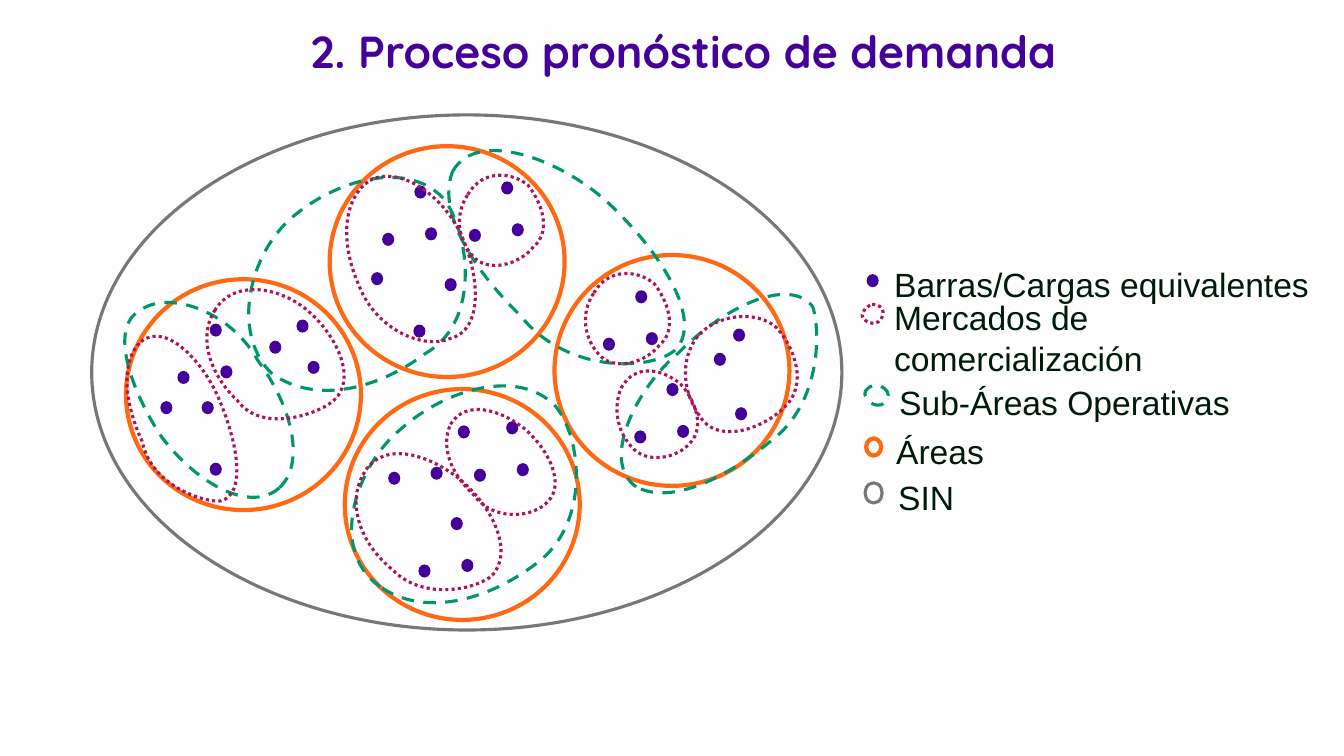
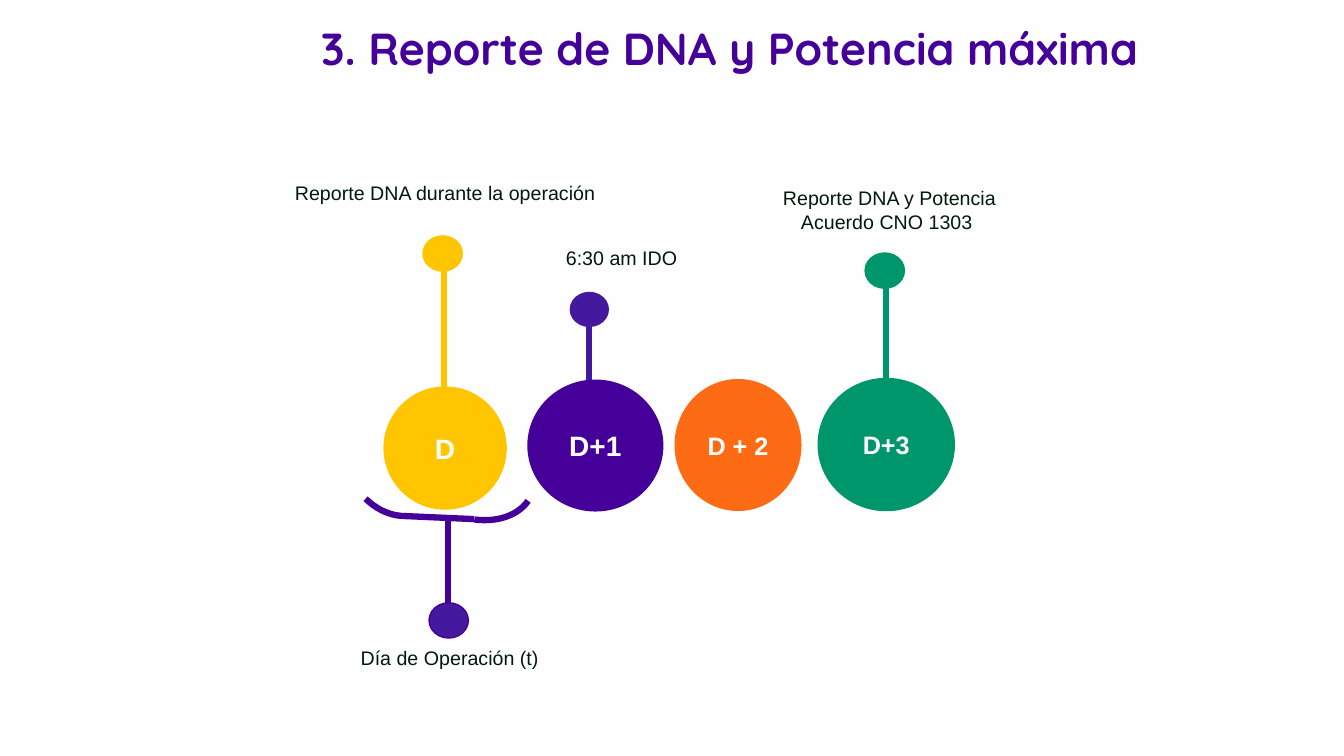
import dataclasses
import math
import pptx
import pptx.dml.color
import pptx.enum.dml
import pptx.enum.shapes
import pptx.enum.text
import pptx.oxml.ns
import pptx.util
from lxml import etree

SHAPE = pptx.enum.shapes.MSO_SHAPE
DASH = pptx.enum.dml.MSO_LINE
ALIGN = pptx.enum.text.PP_ALIGN
ANCHOR = pptx.enum.text.MSO_ANCHOR
qn = pptx.oxml.ns.qn
UNIT = pptx.util.Inches(0.01)  # one grid cell


@dataclasses.dataclass(frozen=True)
class Theme:
    background: str = "FFFEFE"
    ink: str = "001A0C"
    purple: str = "440099"
    violet: str = "45199E"
    orange: str = "FF6913"
    tangerine: str = "FD6B14"
    green: str = "00966C"
    yellow: str = "FFC600"
    crimson: str = "AC1459"
    grey: str = "75787B"
    title_font: str = "Quicksand"
    body_font: str = "Arial"
    title_size: int = 32
    legend_size: int = 24
    caption_size: int = 14
    stem_width: float = 4.5


T = Theme()
TITLE = {"name": T.title_font, "size": T.title_size, "color": T.purple, "bold": True}
LEGEND = {"name": T.body_font, "size": T.legend_size, "color": T.ink}
CAPTION = {"name": T.body_font, "size": T.caption_size, "color": T.ink}
STAGE = {"name": T.body_font, "color": T.background, "bold": True}

# Outline styles: colour, width, dash
AREA = (T.orange, 3, None)
SIN = (T.grey, 2.25, None)
SUBAREA = (T.green, 2.25, DASH.DASH)
MARKET = (T.crimson, 2.25, DASH.ROUND_DOT)


@dataclasses.dataclass(frozen=True)
class Box:
    """A region of the slide, measured in grid cells."""
    x: float
    y: float
    w: float
    h: float

    def point(self, x, y):
        return round((self.x + x) * UNIT), round((self.y + y) * UNIT)

    def frame(self, x, y, w, h):
        return (*self.point(x, y), round(w * UNIT), round(h * UNIT))


# ---------- shared helpers ----------
def rgb(value):
    return pptx.dml.color.RGBColor.from_string(value)


def write(tf, lines, values, align=ALIGN.LEFT):
    for i, line in enumerate(lines):
        p = tf.paragraphs[0] if i == 0 else tf.add_paragraph()
        p.alignment = align
        r = p.add_run()
        r.text = line
        for name, value in values.items():
            if name == "color":
                r.font.color.rgb = rgb(value)
            else:
                setattr(r.font, name, pptx.util.Pt(value) if name == "size" else value)


def add_text(slide, frame, lines, values, align=ALIGN.LEFT):
    tf = slide.shapes.add_textbox(*frame).text_frame
    tf.word_wrap = True
    write(tf, lines, values, align)


def style_line(line, color, width, dash=None):
    line.color.rgb = rgb(color)
    line.width = pptx.util.Pt(width)
    if dash:
        line.dash_style = dash


def style_shape(sp, fill=None, outline=None):
    sp.shadow.inherit = False
    if fill:
        sp.fill.solid()
        sp.fill.fore_color.rgb = rgb(fill)
    else:
        sp.fill.background()
    if outline:
        style_line(sp.line, *outline)
    else:
        sp.line.fill.background()


def add_shape(slide, kind, frame, fill=None, outline=None):
    sp = slide.shapes.add_shape(kind, *frame)
    style_shape(sp, fill, outline)
    return sp


def add_line(slide, start, end, color):
    line = slide.shapes.add_connector(
        pptx.enum.shapes.MSO_CONNECTOR.STRAIGHT, *start, *end)
    style_line(line.line, color, T.stem_width)
    etree.SubElement(line._element.spPr, qn("a:effectLst"))


def add_loop(slide, box, outline, frame, rotation, knots, shift=(0, 0)):
    """Closed curve; knots run node, control, control, and so on, as seen on the slide."""
    x, y, w, h = frame
    cx, cy, angle = x + w / 2, y + h / 2, math.radians(rotation)
    cos, sin = math.cos(angle), math.sin(angle)
    # Turn the knots back into the frame that the shape rotates
    pts = [(round(((px - cx) * cos + (py - cy) * sin + w / 2) * UNIT),
            round(((py - cy) * cos - (px - cx) * sin + h / 2) * UNIT)) for px, py in knots]
    builder = slide.shapes.build_freeform(*pts[0], scale=1.0)
    builder.add_line_segments(pts[3::3], close=True)
    sp = builder.convert_to_shape()
    sp.left, sp.top, sp.width, sp.height = box.frame(x + shift[0], y + shift[1], w, h)
    sp.rotation = rotation
    style_shape(sp, outline=outline)
    # Curved sections in place of the straight ones
    outline_el = next(sp._element.iter(qn("a:path")))
    outline_el.set("w", str(sp.width))
    outline_el.set("h", str(sp.height))
    for child in list(outline_el):
        outline_el.remove(child)
    sections = [("a:moveTo", pts[:1])]
    sections += [("a:cubicBezTo", (pts + pts[:1])[i:i + 3]) for i in range(1, len(pts), 3)]
    for tag, section in sections + [("a:close", [])]:
        el = etree.SubElement(outline_el, qn(tag))
        for px, py in section:
            etree.SubElement(el, qn("a:pt"), x=str(px), y=str(py))


def add_dot(slide, box, x, y):
    add_shape(slide, SHAPE.FLOWCHART_CONNECTOR, box.frame(x, y, 12, 13), T.purple)


def new_slide(prs, title, x, y):
    slide = prs.slides.add_slide(prs.slide_layouts[5])
    sp = slide.shapes.title
    sp.left, sp.top, sp.width, sp.height = Box(x, y, 1054, 104).frame(0, 0, 1054, 104)
    tf = sp.text_frame
    tf.auto_size = pptx.enum.text.MSO_AUTO_SIZE.NONE
    tf.vertical_anchor = ANCHOR.TOP
    write(tf, [title], TITLE, ALIGN.CENTER)
    tf.paragraphs[0].line_spacing = 0.9
    return slide


# ---------- map of areas ----------
AREAS = [(34, 163), (236, 31), (251, 272), (459, 139)]
TRIO = [(0, 0), (10.5, 41.5), (-32, 47)]
TRIOS = [(406, 66), (320, 70), (539, 174), (570, 266), (411, 304), (356, 399), (117, 207)]
SINGLES = [(203, 203), (214, 244), (176, 224), (109, 284), (68, 284), (117, 345),
           (350, 162), (277, 156), (319, 208), (638, 290), (636, 212), (617, 236),
           (363, 308), (336, 349), (294, 354)]
# Loops: frame, rotation, knots
SUBAREAS = [
    ((327, 72, 284, 142), 38.3, [(358, 56), (382, 13), (466, 44), (513, 88), (563, 135),
     (606, 201), (580, 232), (558, 254), (472, 258), (425, 199), (373, 148), (343, 93)]),
    ((503, 216, 250, 126), 314.3, [(540, 369), (504, 344), (540, 271), (582, 236), (630, 188),
     (692, 161), (715, 190), (722, 209), (726, 285), (673, 324), (623, 365), (572, 386)]),
    ((248, 284, 250, 189), 314.3, [(286, 468), (232, 430), (265, 346), (305, 313), (351, 271),
     (424, 251), (460, 289), (487, 322), (494, 406), (441, 445), (391, 483), (329, 498)]),
    ((143, 75, 243, 189), 314.3, [(179, 257), (140, 220), (153, 144), (196, 104), (241, 64),
     (313, 44), (349, 83), (374, 115), (387, 204), (332, 236), (283, 273), (222, 287)]),
    ((5, 220, 224, 123), 232, [(186, 370), (158, 395), (105, 367), (69, 319), (40, 275),
     (16, 211), (48, 194), (74, 174), (136, 192), (165, 244), (201, 293), (211, 347)]),
]
SMALL_MARKET = ((364, 61, 84, 89), 38.3, [
    (373, 79), (388, 53), (418, 57), (433, 70), (444, 84), (458, 114),
    (438, 131), (424, 149), (392, 157), (378, 140), (364, 125), (359, 100)])
SMALL_MARKET_SHIFTS = [(0, 0), (125, 97.5)]
MARKETS = [
    ((587, 198, 111, 117), 38.3, [(599, 222), (619, 196), (661, 194), (679, 211), (696, 229),
     (712, 268), (686, 291), (667, 310), (625, 326), (606, 303), (589, 282), (581, 249)]),
    ((516, 258, 87, 80), 38.3, [(525, 271), (539, 246), (566, 252), (584, 267), (597, 281),
     (609, 308), (594, 325), (581, 341), (550, 347), (535, 329), (521, 313), (517, 291)]),
    ((106, 182, 147, 114), 38.3, [(122, 194), (141, 162), (188, 171), (215, 195), (243, 219),
     (265, 264), (238, 285), (221, 298), (168, 315), (145, 284), (117, 258), (105, 220)]),
    ((227, 87, 176, 114), 63.1, [(276, 65), (304, 50), (347, 78), (366, 118), (385, 159),
     (389, 214), (355, 222), (330, 233), (282, 214), (265, 169), (246, 127), (249, 82)]),
    ((0, 260, 176, 87), 63.1, [(49, 225), (74, 204), (113, 248), (127, 284), (144, 324),
     (154, 376), (128, 383), (113, 385), (59, 369), (50, 324), (30, 281), (30, 241)]),
    ((343, 303, 123, 83), 38.3, [(356, 307), (370, 283), (404, 291), (430, 312), (454, 333),
     (469, 366), (453, 383), (439, 400), (398, 404), (379, 377), (355, 355), (346, 328)]),
    ((251, 351, 162, 112), 38.3, [(269, 357), (288, 321), (336, 337), (367, 363), (399, 391),
     (419, 435), (396, 458), (379, 471), (328, 482), (298, 451), (264, 423), (254, 384)]),
]


def draw_map(slide, box):
    for x, y in AREAS:
        add_shape(slide, SHAPE.OVAL, box.frame(x, y, 233, 229), outline=AREA)
    for x, y in [(x + dx, y + dy) for x, y in TRIOS for dx, dy in TRIO] + SINGLES:
        add_dot(slide, box, x, y)
    for loop in SUBAREAS:
        add_loop(slide, box, SUBAREA, *loop)
    for shift in SMALL_MARKET_SHIFTS:
        add_loop(slide, box, MARKET, *SMALL_MARKET, shift)
    for loop in MARKETS:
        add_loop(slide, box, MARKET, *loop)
    add_shape(slide, SHAPE.OVAL, box.frame(0, 0, box.w, box.h), outline=SIN)


# ---------- legend ----------
LABELS = [
    ("Barras/Cargas equivalentes", (21, 0, 456, 50)),
    ("Mercados de comercialización", (21, 33, 457, 91)),
    ("Sub-Áreas Operativas", (26, 117, 389, 50)),
    ("Áreas", (23, 165.5, 346, 50)),
    ("SIN", (25, 211, 346, 50)),
]
MARKET_KEY = ((0, 44, 18, 22), 84.2, [(9, 45), (15, 44), (20, 49), (20, 53), (20, 57),
              (17, 63), (11, 64), (6, 64), (-1, 60), (-1, 56), (0, 51), (3, 47)])
SUBAREA_KEY = ((2, 125, 23, 20), 0, [(2, 135), (1, 128), (9, 125), (14, 125), (19, 126),
               (25, 130), (25, 135), (25, 140), (20, 146), (14, 145), (8, 144), (4, 141)])


def draw_legend(slide, box):
    add_shape(slide, SHAPE.OVAL, box.frame(3, 178, 15, 17), outline=AREA)
    add_dot(slide, box, 3.5, 15)
    add_loop(slide, box, SUBAREA, *SUBAREA_KEY)
    add_loop(slide, box, MARKET, *MARKET_KEY)
    add_shape(slide, SHAPE.OVAL, box.frame(2, 222, 17, 20), outline=SIN)
    for label, frame in LABELS:
        add_text(slide, box.frame(*frame), [label], LEGEND)


# ---------- timeline ----------
# Pins: colour, stem x, stem ends, knob corner, knob line, caption frame, caption lines
PINS = [
    (T.yellow, 243.5, (230, 78), (222.5, 60), T.yellow, (77, 0.5, 335, 89),
     ["Reporte DNA durante la operación"]),
    (T.violet, 387, (240, 143), (368, 115.5), None, (252, 65, 335, 34), ["6:30 am IDO"]),
    (T.green, 682, (258, 106), (661, 77), T.green, (515, 5.5, 335, 125),
     [" Reporte DNA y Potencia", "Acuerdo CNO 1303"]),
    (T.purple, 247.5, (434, 338), (228.5, 424), T.purple, (0, 461.5, 498, 52),
     ["Día de Operación (t)"]),
]
# Stages: label, size, fill, line, circle frame
STAGES = [
    ("D", 20, T.yellow, T.yellow, (184, 210, 121, 121)),
    ("D+1", 20, T.purple, None, (326, 202.5, 135, 131)),
    ("D + 2", 18, T.tangerine, None, (472, 202, 126, 131)),
    ("D+3", 18, T.green, T.green, (614.5, 201.5, 135, 131)),
]
# Brace ends: frame, rotation, start and end angle
BRACE_ENDS = [
    ((141, 177, 129, 161), 180, (162, 181.35)),
    ((196, 184, 118, 176), 125.3, (162, 185.92)),
]


def draw_pin(slide, box, color, x, ends, knob, knob_line, frame, lines):
    add_line(slide, box.point(x, ends[0]), box.point(x, ends[1]), color)
    fill = T.violet if color == T.purple else color
    add_shape(slide, SHAPE.OVAL, box.frame(*knob, 39, 35), fill, knob_line and (knob_line, 1))
    add_text(slide, box.frame(*frame), lines, CAPTION, ALIGN.CENTER)


def draw_timeline(slide, box):
    for pin in PINS:
        draw_pin(slide, box, *pin)
    # Brace under the day of operation
    for frame, rotation, angles in BRACE_ENDS:
        sp = add_shape(slide, SHAPE.ARC, box.frame(*frame), outline=(T.purple, T.stem_width))
        sp.rotation = rotation
        sp.adjustments[0], sp.adjustments[1] = angles
    add_line(slide, box.point(273, 341), box.point(205, 338), T.purple)
    # Day circles
    for label, size, fill, line, frame in STAGES:
        sp = add_shape(slide, SHAPE.OVAL, box.frame(*frame), fill, line and (line, 1))
        sp.text_frame.vertical_anchor = ANCHOR.MIDDLE
        write(sp.text_frame, [label], {**STAGE, "size": size}, ALIGN.CENTER)


def main():
    prs = pptx.Presentation()
    prs.slide_width, prs.slide_height = pptx.util.Inches(13.33), pptx.util.Inches(7.5)
    fill = prs.slide_master.background.fill
    fill.solid()
    fill.fore_color.rgb = rgb(T.background)

    slide = new_slide(prs, "2. Proceso pronóstico de demanda", 151, 25)
    draw_map(slide, Box(91, 114, 744, 511))
    draw_legend(slide, Box(856, 257, 477, 261))

    slide = new_slide(prs, "3. Reporte de DNA y Potencia máxima", 197, 21.5)
    draw_timeline(slide, Box(197, 174, 850, 513))
    prs.save("out.pptx")


if __name__ == "__main__":
    main()
